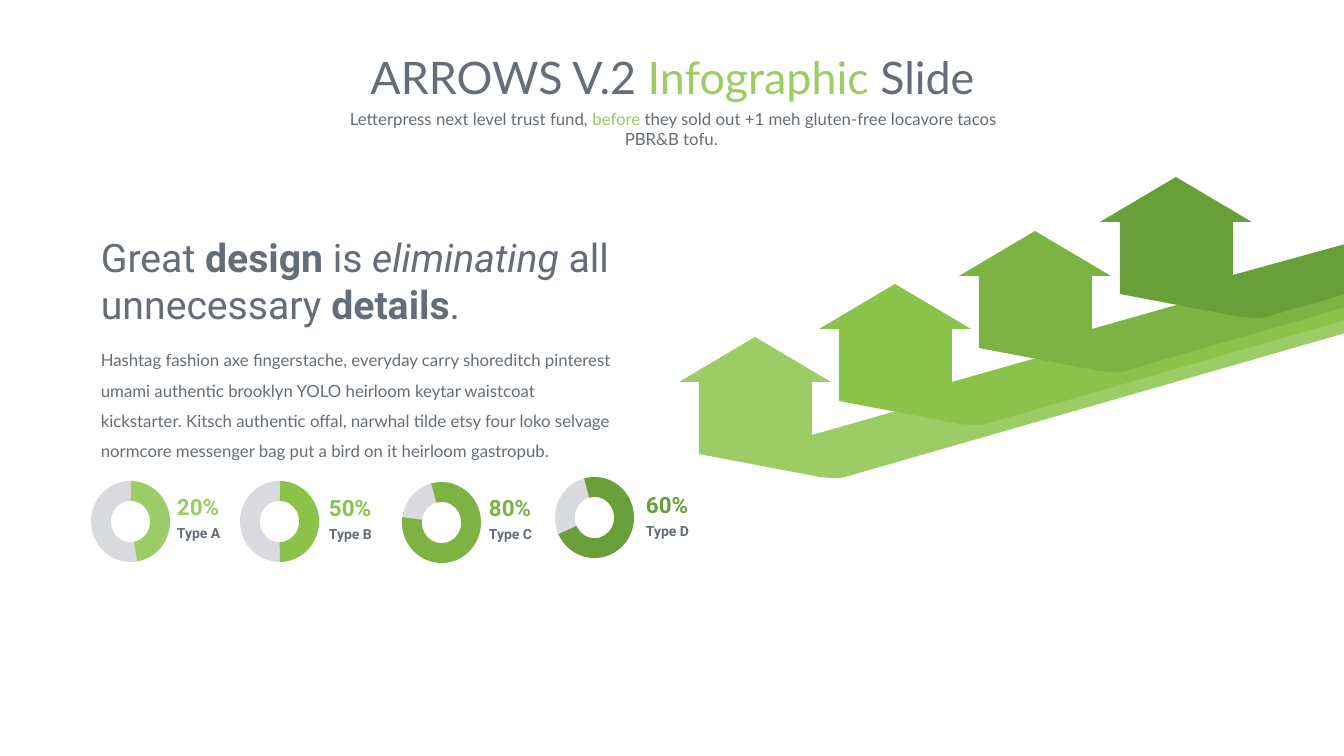
"""Builds the ARROWS V.2 infographic slide with rising arrows and four ring gauges."""
from dataclasses import dataclass

from pptx import Presentation
from pptx.dml.color import RGBColor
from pptx.enum.shapes import MSO_SHAPE
from pptx.enum.text import MSO_AUTO_SIZE, PP_ALIGN
from pptx.util import Pt

PX = 914400 / 100.8
DONUT, BLOCK_ARC = MSO_SHAPE.DONUT, MSO_SHAPE.BLOCK_ARC
CENTER, LEFT = PP_ALIGN.CENTER, PP_ALIGN.LEFT
GROW, FIXED = MSO_AUTO_SIZE.SHAPE_TO_FIT_TEXT, MSO_AUTO_SIZE.NONE
ANGLE_UNIT = 0.6


@dataclass(frozen=True)
class Theme:
    ink: str = "656D78"
    accent: str = "9CCC65"
    track: str = "D8DADD"
    greens: tuple = ("9CCC65", "8BC34A", "7CB342", "689F38")
    body_font: str = "Lato"
    display_font: str = "Roboto"
    title: int = 32
    headline: int = 28
    figure: int = 16
    body: int = 12
    label: int = 10


def px(length):
    return round(length * PX)


class InfographicSlide:
    def __init__(self, theme):
        self.theme = theme
        self.deck = Presentation()
        self.deck.slide_width, self.deck.slide_height = px(1344), px(756)
        self.shapes = self.deck.slides.add_slide(self.deck.slide_layouts[6]).shapes

    def paint(self, shape, color):
        shape.shadow.inherit = False
        shape.fill.solid()
        shape.fill.fore_color.rgb = RGBColor.from_string(color)
        shape.line.fill.background()

    def text(self, box, runs, size, font, color=None, align=LEFT,
             spacing=None, bold=None, inset=True):
        frame = self.shapes.add_textbox(*map(px, box)).text_frame
        frame.word_wrap = True
        frame.auto_size = GROW if inset else FIXED
        if not inset:
            frame.margin_left = frame.margin_right = 0
            frame.margin_top = frame.margin_bottom = 0
        paragraph = frame.paragraphs[0]
        paragraph.alignment = align
        paragraph.line_spacing = spacing
        paragraph.font.size = Pt(size)
        paragraph.font.name = font
        paragraph.font.bold = bold
        paragraph.font.color.rgb = RGBColor.from_string(color or self.theme.ink)
        for words, emphasis in runs:
            run = paragraph.add_run()
            run.text = words
            if emphasis == "accent":
                run.font.color.rgb = RGBColor.from_string(self.theme.accent)
            elif emphasis:
                setattr(run.font, emphasis, True)

    def arrow(self, apex, tail_top, color):
        x, y = apex
        tail_x, tail_height = 1349, 50
        right = [(76, 45), (57, 45), (57, 98)]
        left = [(90, 140), (84, 141), (76, 141), (65, 140),
                (-56, 117), (-56, 45), (-76, 45)]
        outline = [(x + dx, y + dy) for dx, dy in right]
        outline += [(tail_x, tail_top), (tail_x, tail_top + tail_height)]
        outline += [(x + dx, y + dy) for dx, dy in left]
        builder = self.shapes.build_freeform(x, y, scale=PX)
        builder.add_line_segments(outline, close=True)
        self.paint(builder.convert_to_shape(), color)

    def gauge(self, ring_at, caption_at, start, end, figure, label, color):
        ring_box = [px(length) for length in (*ring_at, 79, 81)]
        self.paint(self.shapes.add_shape(DONUT, *ring_box), self.theme.track)
        arc = self.shapes.add_shape(BLOCK_ARC, *ring_box)
        arc.adjustments[0] = start * ANGLE_UNIT
        arc.adjustments[1] = end * ANGLE_UNIT
        arc.adjustments[2] = 0.25
        self.paint(arc, color)
        left, top = caption_at
        style = {"font": self.theme.display_font, "spacing": 0.9,
                 "bold": True, "inset": False}
        self.text((left, top, 49, 29), [(figure, None)],
                  self.theme.figure, color=color, **style)
        self.text((left, top + 30, 49, 23), [(label, None)],
                  self.theme.label, **style)


def main():
    theme = Theme()
    slide = InfographicSlide(theme)

    slide.text((256, 45, 833, 65),
               [("ARROWS V.2 ", None), ("Infographic ", "accent"), ("Slide", None)],
               theme.title, theme.body_font, align=CENTER)
    slide.text((323, 104, 701, 30),
               [("Letterpress next level trust fund, ", None), ("before", "accent"),
                (" they sold out +1 meh gluten-free locavore tacos PBR&B tofu. ", None)],
               theme.body, theme.body_font, align=CENTER)

    for step, green in enumerate(theme.greens):
        apex = (755 + step * 421 // 3, 337 - step * 160 // 3)
        slide.arrow(apex, 282 - 13 * step, green)

    slide.text((91, 228, 550, 105),
               [("Great ", None), ("design", "bold"), (" is ", None),
                ("eliminating", "italic"), (" all unnecessary ", None),
                ("details", "bold"), (".", None)],
               theme.headline, theme.display_font)
    slide.text((91, 335, 536, 132),
               [("Hashtag fashion axe fingerstache, everyday carry shoreditch pinterest "
                 "umami authentic brooklyn YOLO heirloom keytar waistcoat kickstarter. "
                 "Kitsch authentic offal, narwhal tilde etsy four loko selvage normcore "
                 "messenger bag put a bird on it heirloom gastropub.", None)],
               theme.body, theme.body_font, spacing=1.5)

    gauges = [
        ((91, 481), (177, 496), 271.06, 80.55, "20%", "Type A"),
        ((240, 481), (329, 497), 271.06, 89.44, "50%", "Type B"),
        ((402, 482), (489, 497), 255.23, 187.88, "80%", "Type C"),
        ((555, 477), (646, 494), 255.23, 155.07, "60%", "Type D"),
    ]
    for gauge, green in zip(gauges, theme.greens):
        slide.gauge(*gauge, green)

    slide.deck.save("out.pptx")


if __name__ == "__main__":
    main()
